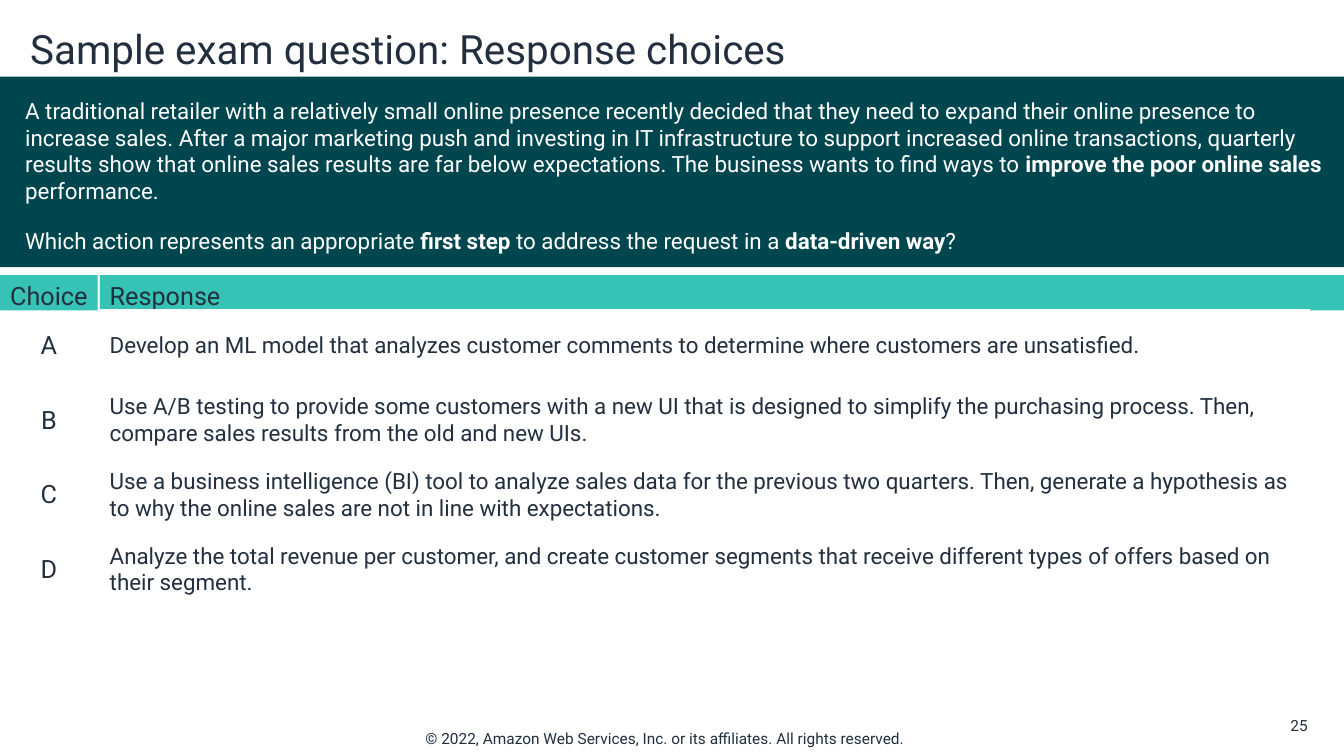
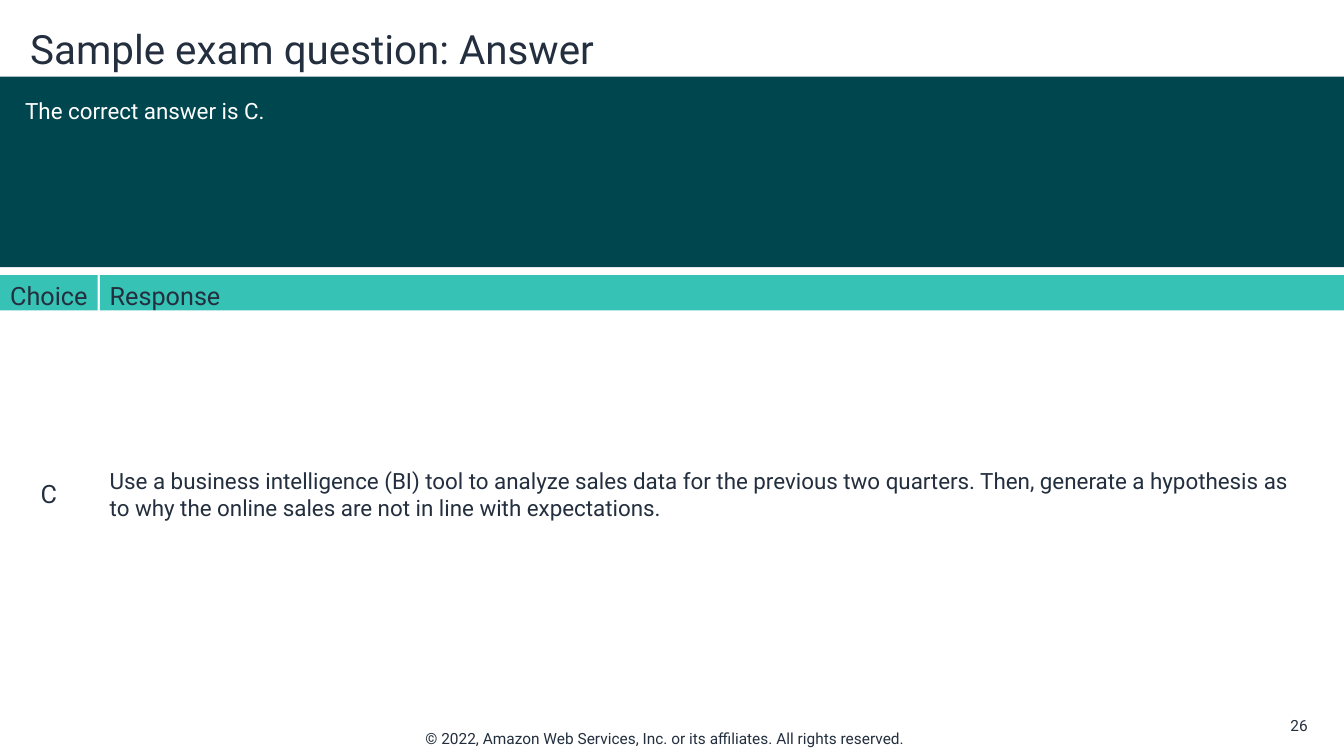
from pptx import Presentation
from pptx.dml.color import RGBColor
from pptx.enum.shapes import MSO_SHAPE
from pptx.enum.text import MSO_ANCHOR, MSO_AUTO_SIZE, PP_ALIGN
from pptx.util import Inches, Pt

FONT = "Roboto"
COLORS = {"ink": "232F3E", "white": "FFFFFF", "band": "00464F", "header": "36C2B4"}
SLIDE_W, SLIDE_H = 13.33, 7.5
CHOICE_W, RESPONSE_X = 0.97, 0.99
ROW_H, ROW_STEP = 0.7, 0.74
COPYRIGHT = "© 2022, Amazon Web Services, Inc. or its affiliates. All rights reserved."

QUESTION = [
    [("A traditional retailer with a relatively small online presence recently decided that "
      "they need to expand their online presence to increase sales. After a major marketing "
      "push and investing in IT infrastructure to support increased online transactions, "
      "quarterly results show that online sales results are far below expectations. The "
      "business wants to find ways to ", False),
     ("improve the poor online sales ", True),
     ("performance.", False)],
    [("Which action represents an appropriate ", False),
     ("first step", True),
     (" to address the request in a ", False),
     ("data-driven way", True),
     ("?", False)],
]
ANSWER = [[("The correct answer is C.", False)]]
RESPONSES = {
    "A": "Develop an ML model that analyzes customer comments to determine where customers "
         "are unsatisfied.",
    "B": "Use A/B testing to provide some customers with a new UI that is designed to simplify "
         "the purchasing process. Then, compare sales results from the old and new UIs.",
    "C": "Use a business intelligence (BI) tool to analyze sales data for the previous two "
         "quarters. Then, generate a hypothesis as to why the online sales are not in line "
         "with expectations.",
    "D": "Analyze the total revenue per customer, and create customer segments that receive "
         "different types of offers based on their segment.",
}


def rgb(name):
    return RGBColor.from_string(COLORS[name])


def set_text(sp, paragraphs, size, color="ink", align=PP_ALIGN.LEFT,
             anchor=MSO_ANCHOR.TOP, insets=(0.1, 0.05, 0.1, 0.05), before=0, after=0):
    """Fill a shape with paragraphs, each a list of (text, bold) runs."""
    tf = sp.text_frame
    tf.word_wrap = True
    tf.auto_size = MSO_AUTO_SIZE.NONE
    tf.vertical_anchor = anchor
    tf.margin_left, tf.margin_top, tf.margin_right, tf.margin_bottom = map(Inches, insets)
    for i, runs in enumerate(paragraphs):
        p = tf.add_paragraph() if i else tf.paragraphs[0]
        p.alignment = align
        p.space_before = Pt(before if i else 0)
        p.space_after = Pt(after)
        for text, bold in runs:
            r = p.add_run()
            r.text = text
            r.font.name = FONT
            r.font.size = Pt(size)
            r.font.bold = bold
            r.font.color.rgb = rgb(color)


def add_text(s, box, text, size, **style):
    sp = s.shapes.add_textbox(*map(Inches, box))
    set_text(sp, [[(text, False)]], size, **style)


def add_box(s, box, fill, paragraphs, size, line=None, **style):
    sp = s.shapes.add_shape(MSO_SHAPE.RECTANGLE, *map(Inches, box))
    sp.shadow.inherit = False
    sp.fill.solid()
    sp.fill.fore_color.rgb = rgb(fill)
    if line:
        sp.line.color.rgb = rgb(line)
        sp.line.width = Pt(0.75)
    else:
        sp.line.fill.background()
    set_text(sp, paragraphs, size, **style)


def add_title(s, box, text):
    title = s.shapes.title
    title.left, title.top, title.width, title.height = map(Inches, box)
    set_text(title, [[(text, False)]], 28.8, anchor=MSO_ANCHOR.MIDDLE)


def add_footer(s, number):
    add_text(s, (4.12, 7.18, 5.09, 0.29), COPYRIGHT, 11)
    add_text(s, (12.54, 7.05, 0.53, 0.29), str(number), 11,
             align=PP_ALIGN.RIGHT, anchor=MSO_ANCHOR.MIDDLE)


def add_header(s, top, height):
    add_box(s, (0, top, CHOICE_W, height), "header", [[("Choice", False)]], 18,
            align=PP_ALIGN.CENTER, insets=(0, 0.05, 0, 0.05), after=6)
    add_box(s, (RESPONSE_X, top, SLIDE_W - RESPONSE_X, height), "header",
            [[("Response", False)]], 18, insets=(0.1, 0.05, 0, 0.05), after=6)


def add_response(s, top, letter):
    add_text(s, (0, top, CHOICE_W, ROW_H), letter, 18, align=PP_ALIGN.CENTER,
             anchor=MSO_ANCHOR.MIDDLE, insets=(0, 0, 0, 0))
    add_box(s, (RESPONSE_X, top, 12, ROW_H), "white", [[(RESPONSES[letter], False)]], 16,
            line="white", anchor=MSO_ANCHOR.MIDDLE, insets=(0.1, 0.1, 0, 0.1))


def add_question_slide(prs, number, title, band, shown):
    """Build a slide with a text band above the responses whose letters are shown."""
    s = prs.slides.add_slide(prs.slide_layouts[5])
    add_footer(s, number)
    add_title(s, (0.2, 0.2, 12.87, 0.55), title)
    add_box(s, (0, 0.76, SLIDE_W, 1.89), "band", band, 16, color="white",
            insets=(0.25, 0.2, 0.2, 0), before=10, after=6)
    add_header(s, 2.73, 0.35)
    for i, letter in enumerate(RESPONSES):
        if letter in shown:
            add_response(s, 3.07 + i * ROW_STEP, letter)


def main():
    prs = Presentation()
    prs.slide_width, prs.slide_height = Inches(SLIDE_W), Inches(SLIDE_H)
    add_question_slide(prs, 25, "Sample exam question: Response choices", QUESTION, "ABCD")
    add_question_slide(prs, 26, "Sample exam question: Answer", ANSWER, "C")
    prs.save("out.pptx")


if __name__ == "__main__":
    main()
